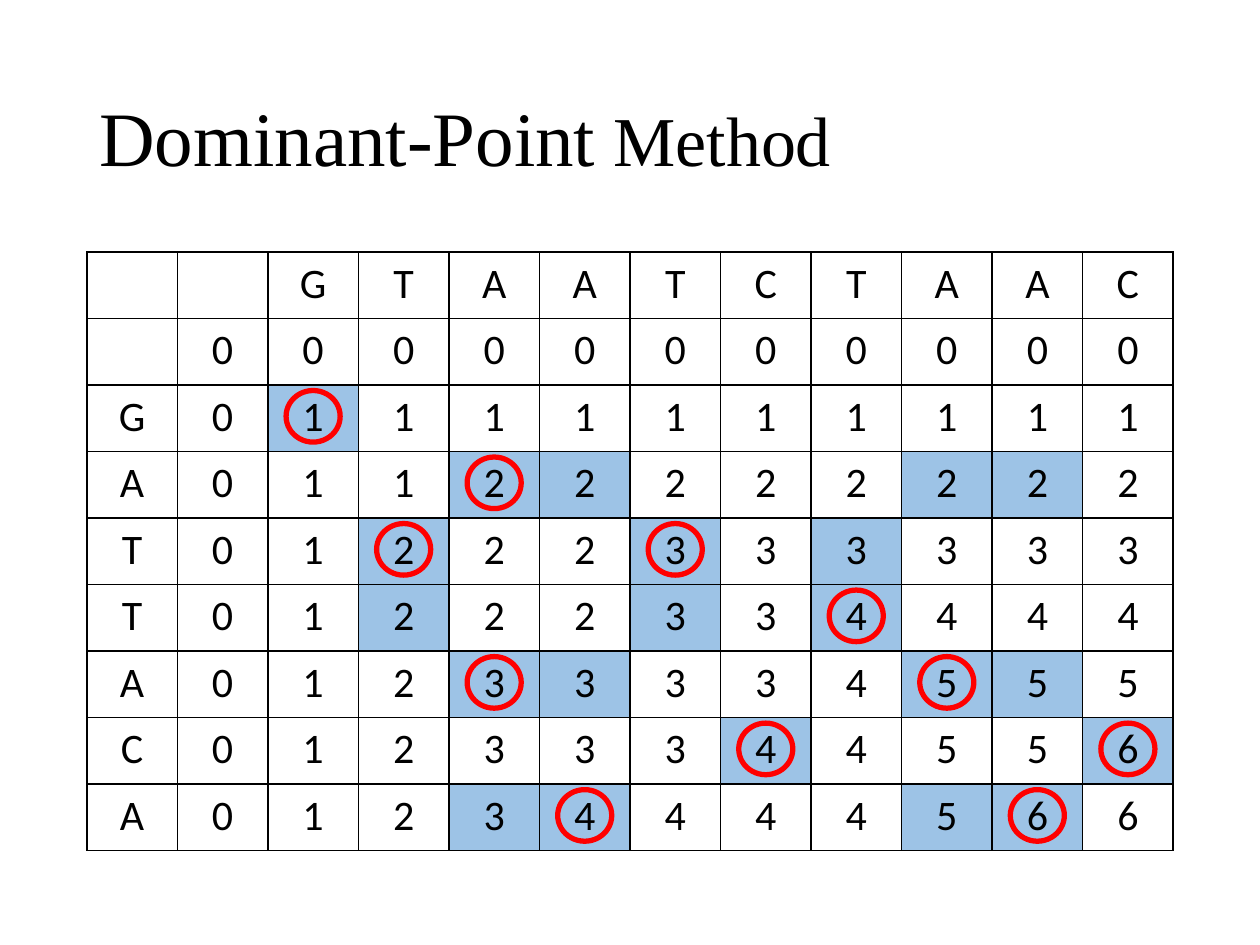
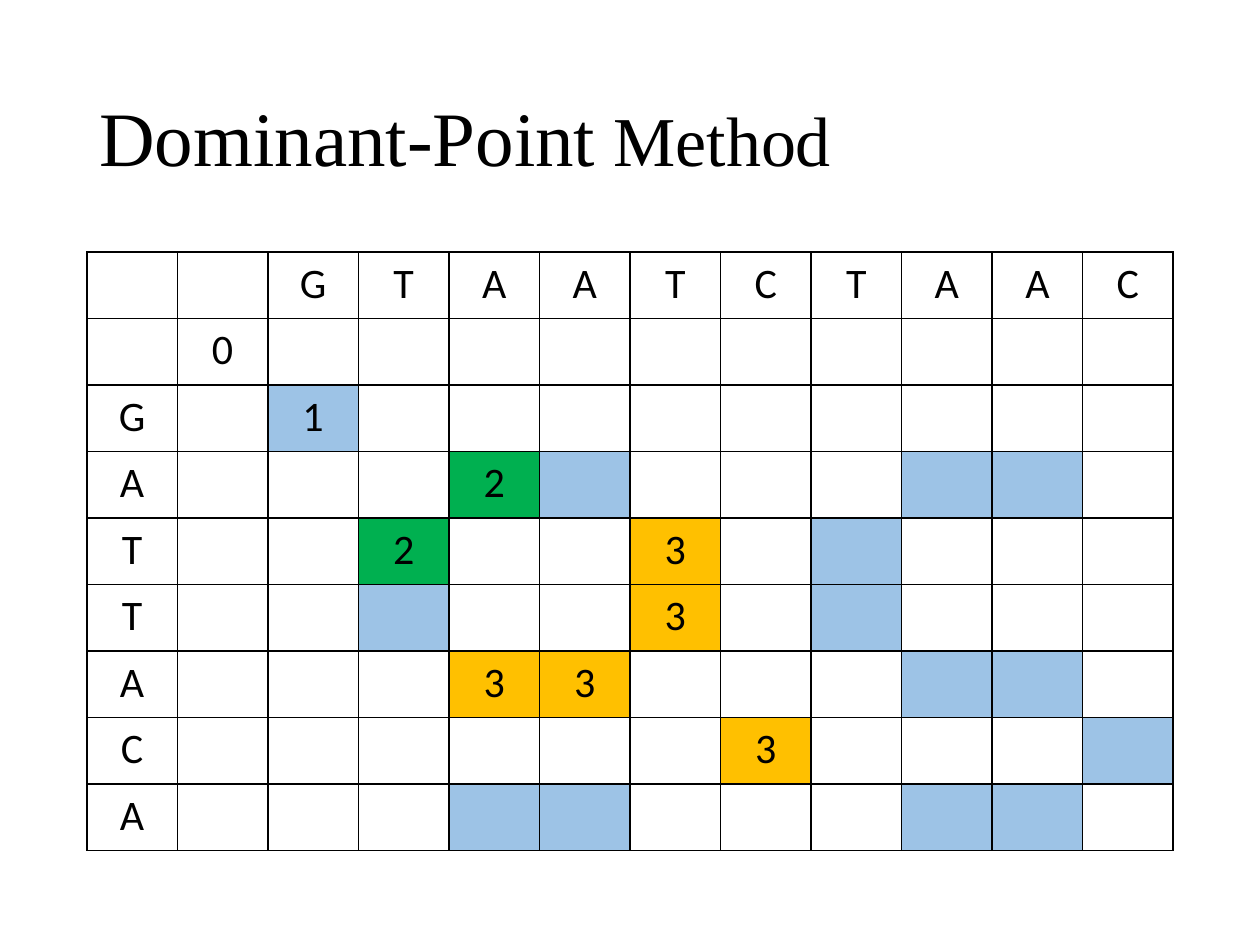
from lxml.etree import SubElement
from pptx import Presentation
from pptx.dml.color import RGBColor
from pptx.enum.shapes import MSO_SHAPE
from pptx.enum.text import MSO_ANCHOR, MSO_AUTO_SIZE, PP_ALIGN
from pptx.oxml.ns import qn
from pptx.util import Cm, Pt

BLACK = RGBColor(0x00, 0x00, 0x00)
MATCH_BLUE = RGBColor(0x9D, 0xC3, 0xE6)
LEVEL_GREEN = RGBColor(0x00, 0xB0, 0x50)
LEVEL_ORANGE = RGBColor(0xFF, 0xC0, 0x00)
RING_RED = RGBColor(0xFF, 0x00, 0x00)

TITLE_FONT = "Times New Roman"
GRID_FONT = "Calibri"
TITLE_RUNS = [("Dominant-Point", 44), (" Method", 40)]

LEFT, WIDTH = 1.75, 21.9
TITLE_TOP, TITLE_HEIGHT = 1.02, 3.68
GRID_TOP, GRID_HEIGHT = 5.08, 12.07
RING_WIDTH, RING_HEIGHT, RING_LIFT = 1.09, 1.04, 0.04

ACROSS = "  GTAATCTAAC"
DOWN = "  GATTACA"
COLUMN_WIDTH = WIDTH / len(ACROSS)
ROW_HEIGHT = GRID_HEIGHT / len(DOWN)

BLANK = "."
FULL_SCORES = [
    "00000000000",
    "01111111111",
    "01122222222",
    "01222333333",
    "01222334444",
    "01233334555",
    "01233344556",
    "01234444566",
]
LEVEL_SCORES = [
    "0..........",
    ".1.........",
    "...2.......",
    "..2..3.....",
    ".....3.....",
    "...33......",
    "......3....",
    "...........",
]
DOMINANT_POINTS = [
    (2, 2), (3, 4), (4, 3), (4, 6), (6, 4), (6, 9),
    (8, 5), (7, 7), (7, 11), (8, 10), (5, 8),
]
LEVEL_COLOURS = {"2": LEVEL_GREEN, "3": LEVEL_ORANGE}


def add_title(slide):
    title = slide.shapes.title
    title.left, title.top = Cm(LEFT), Cm(TITLE_TOP)
    title.width, title.height = Cm(WIDTH), Cm(TITLE_HEIGHT)
    frame = title.text_frame
    frame.auto_size = MSO_AUTO_SIZE.NONE
    frame.vertical_anchor = MSO_ANCHOR.MIDDLE
    heading = frame.paragraphs[0]
    heading.alignment = PP_ALIGN.LEFT
    heading.line_spacing = 0.9
    for words, size in TITLE_RUNS:
        add_run(heading, words, size, TITLE_FONT)


def add_run(paragraph, words, size, font_name):
    run = paragraph.add_run()
    run.text = words
    run.font.size = Pt(size)
    run.font.name = font_name
    run.font.color.rgb = BLACK


def add_borders(cell):
    properties = cell._tc.get_or_add_tcPr()
    for side in ("a:lnL", "a:lnR", "a:lnT", "a:lnB"):
        border = SubElement(properties, qn(side), w=str(Pt(1)))
        fill = SubElement(border, qn("a:solidFill"))
        SubElement(fill, qn("a:srgbClr"), val=str(BLACK))


def fill_cell(cell, mark, colour):
    add_borders(cell)
    if colour is None:
        cell.fill.background()
    else:
        cell.fill.solid()
        cell.fill.fore_color.rgb = colour
    if mark.strip(BLANK + " "):
        paragraph = cell.text_frame.paragraphs[0]
        paragraph.alignment = PP_ALIGN.CENTER
        add_run(paragraph, mark, 24, GRID_FONT)


def add_score_grid(slide, scores, level_colours):
    grid = slide.shapes.add_table(
        len(DOWN), len(ACROSS), Cm(LEFT), Cm(GRID_TOP), Cm(WIDTH), Cm(GRID_HEIGHT)
    ).table
    grid.first_row = False
    grid.horz_banding = False
    for column in grid.columns:
        column.width = Cm(COLUMN_WIDTH)
    for row in grid.rows:
        row.height = Cm(ROW_HEIGHT)

    lines = [ACROSS] + [letter + line for letter, line in zip(DOWN[1:], scores)]
    for row, line in enumerate(lines):
        for column, mark in enumerate(line):
            is_match = DOWN[row] == ACROSS[column] != " "
            colour = level_colours.get(mark, MATCH_BLUE) if is_match else None
            fill_cell(grid.cell(row, column), mark, colour)


def add_ring(slide, row, column):
    center_x = LEFT + (column + 0.5) * COLUMN_WIDTH
    center_y = GRID_TOP + (row + 0.5) * ROW_HEIGHT - RING_LIFT
    ring = slide.shapes.add_shape(
        MSO_SHAPE.OVAL,
        Cm(center_x - RING_WIDTH / 2),
        Cm(center_y - RING_HEIGHT / 2),
        Cm(RING_WIDTH),
        Cm(RING_HEIGHT),
    )
    ring.shadow.inherit = False
    ring.fill.background()
    ring.line.color.rgb = RING_RED
    ring.line.width = Pt(3)


def add_method_slide(deck, scores, level_colours, rings):
    slide = deck.slides.add_slide(deck.slide_layouts.get_by_name("Title Only"))
    add_title(slide)
    add_score_grid(slide, scores, level_colours)
    for row, column in rings:
        add_ring(slide, row, column)


def main():
    deck = Presentation()
    deck.slide_width, deck.slide_height = Cm(25.4), Cm(19.05)
    add_method_slide(deck, FULL_SCORES, {}, DOMINANT_POINTS)
    add_method_slide(deck, LEVEL_SCORES, LEVEL_COLOURS, [])
    deck.save("out.pptx")


if __name__ == "__main__":
    main()
